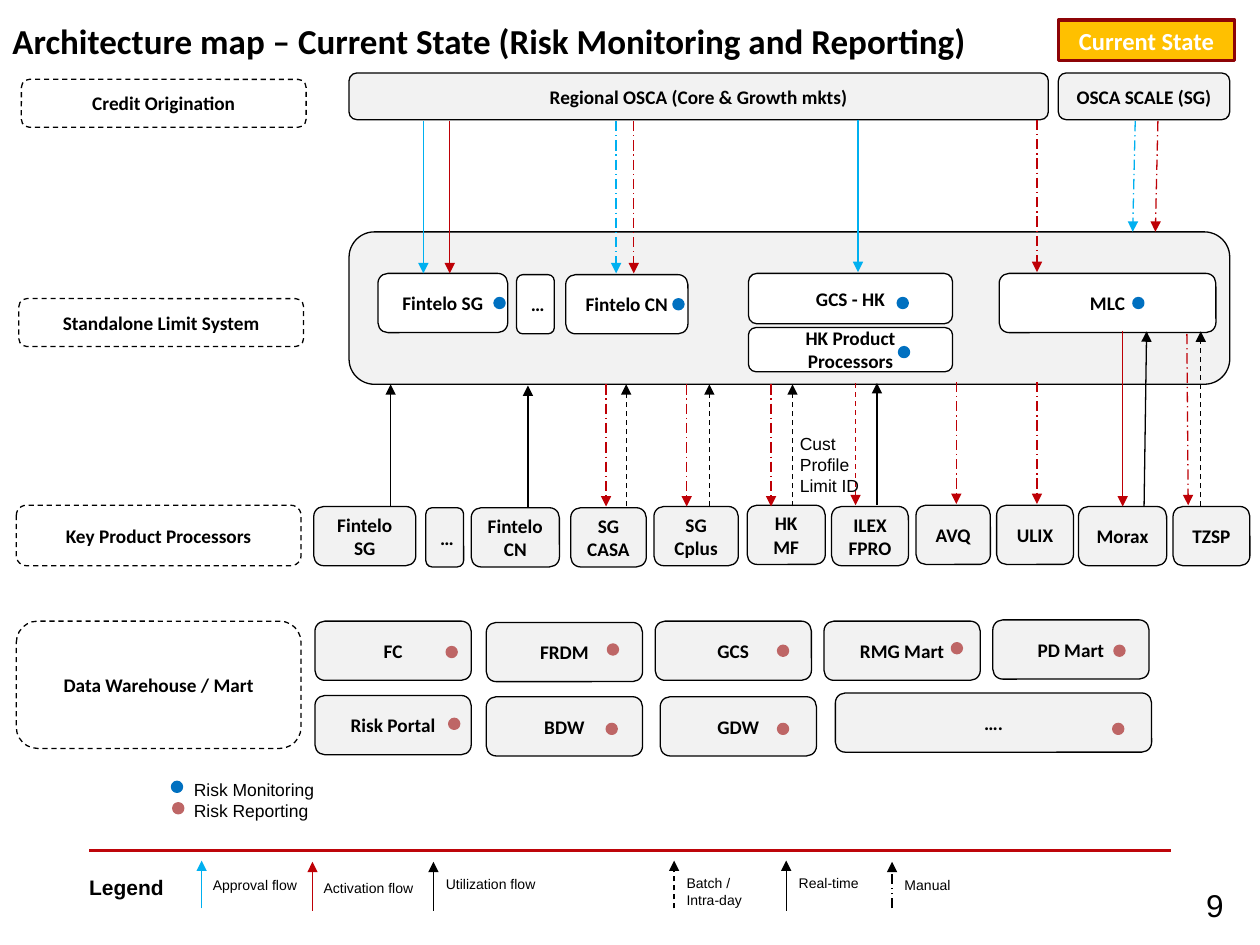
"""Build the current-state architecture map for risk monitoring and reporting."""
from lxml.etree import SubElement
from pptx import Presentation
from pptx.dml.color import RGBColor as RGB
from pptx.enum.dml import MSO_LINE as DASH
from pptx.enum.shapes import MSO_CONNECTOR as LINK, MSO_SHAPE as FORM
from pptx.enum.text import MSO_ANCHOR as ANCHOR, PP_ALIGN as ALIGN
from pptx.oxml.ns import qn
from pptx.util import Pt

PX = 9144
BLACK = RGB(0x00, 0x00, 0x00)
WHITE = RGB(0xFF, 0xFF, 0xFF)
GREY = RGB(0xF2, 0xF2, 0xF2)
RED = RGB(0xBE, 0x00, 0x06)
RULE = RGB(0xBE, 0x05, 0x0A)
CYAN = RGB(0x00, 0xB0, 0xF0)
BLUE = RGB(0x00, 0x70, 0xC0)
ROSE = RGB(0xBE, 0x66, 0x66)
GOLD = RGB(0xFF, 0xC0, 0x00)
MAROON = RGB(0x8D, 0x04, 0x07)
SOLID, BATCH, MANUAL = None, DASH.DASH, DASH.LONG_DASH_DOT

deck = Presentation()
deck.slide_width, deck.slide_height = 1000 * PX, 750 * PX
slide = deck.slides.add_slide(deck.slide_layouts[6])
shapes = slide.shapes


def write(text, place, shape=None, size=11, font="Calibri", color=BLACK,
          bold=True, align=ALIGN.CENTER, anchor=ANCHOR.MIDDLE):
    if shape is None:
        shape = shapes.add_textbox(*[n * PX for n in place])
    frame = shape.text_frame
    frame.word_wrap = True
    frame.vertical_anchor = anchor
    frame.text = text
    for para in frame.paragraphs:
        para.alignment = align
        para.font.size = Pt(size)
        para.font.name = font
        para.font.bold = bold
        para.font.color.rgb = color


def draw(form, place, fill=None, edge=BLACK, weight=0.75, dash=SOLID):
    shape = shapes.add_shape(form, *[n * PX for n in place])
    shape.shadow.inherit = False
    if fill is None:
        shape.fill.background()
    else:
        shape.fill.solid()
        shape.fill.fore_color.rgb = fill
    shape.line.color.rgb = edge
    shape.line.width = Pt(weight)
    shape.line.dash_style = dash
    return shape


write("Architecture map – Current State (Risk Monitoring and Reporting)",
      (0, 1, 1000, 63), size=20, align=ALIGN.LEFT)
place = (840, 16, 140, 32)
badge = draw(FORM.RECTANGLE, place, GOLD, MAROON, 2)
write("Current State", place, badge, size=14, color=WHITE)

layers = [
    ("Credit Origination", 17, 63, 38),
    ("Standalone Limit System", 15, 237, 38),
    ("Key Product Processors", 13, 401, 48),
    ("Data Warehouse / Mart", 13, 493, 101),
]
for text, x, y, h in layers:
    place = (x, y, 226, h)
    write(text, place, draw(FORM.ROUNDED_RECTANGLE, place, dash=BATCH))

draw(FORM.ROUNDED_RECTANGLE, (277, 184, 699, 121), GREY)

systems = [
    ("Regional OSCA (Core & Growth mkts)", 277, 58, 555, 37, GREY),
    ("OSCA SCALE (SG)", 840, 58, 136, 37, GREY),
    ("Fintelo SG", 300, 217, 103, 47, WHITE),
    ("…", 410, 218, 30, 47, WHITE),
    ("Fintelo CN", 449, 218, 97, 47, WHITE),
    ("GCS - HK", 594, 217, 162, 40, WHITE),
    ("HK Product Processors", 594, 260, 162, 35, WHITE),
    ("MLC", 793, 217, 172, 47, WHITE),
    ("Fintelo SG", 249, 402, 81, 47, GREY),
    ("…", 338, 403, 30, 47, GREY),
    ("Fintelo CN", 374, 403, 70, 47, GREY),
    ("SG CASA", 453, 403, 60, 47, GREY),
    ("SG Cplus", 519, 402, 67, 47, GREY),
    ("HK MF", 593, 401, 62, 47, GREY),
    ("ILEX\vFPRO", 660, 402, 61, 47, GREY),
    ("AVQ", 727, 401, 59, 47, GREY),
    ("ULIX", 791, 401, 61, 47, GREY),
    ("Morax", 856, 402, 70, 47, GREY),
    ("TZSP", 931, 402, 61, 47, GREY),
    ("FC", 250, 493, 124, 47, GREY),
    ("FRDM", 386, 494, 124, 47, GREY),
    ("GCS", 520, 493, 124, 47, GREY),
    ("RMG Mart", 654, 493, 124, 47, GREY),
    ("PD Mart", 788, 492, 124, 47, GREY),
    ("Risk Portal", 250, 552, 124, 47, GREY),
    ("BDW", 386, 553, 124, 47, GREY),
    ("GDW", 524, 553, 124, 47, GREY),
    ("….", 663, 550, 251, 47, GREY),
]
boxes = []
for text, *place, fill in systems:
    box = draw(FORM.ROUNDED_RECTANGLE, place, fill)
    write(text, place, box)
    boxes.append(box)

arrows = [
    (336, 96, 336, 217, CYAN, SOLID),
    (357, 96, 357, 217, RED, SOLID),
    (489, 96, 489, 217, CYAN, MANUAL),
    (503, 96, 503, 217, RED, MANUAL),
    (681, 95, 681, 216, CYAN, SOLID),
    (823, 95, 823, 216, RED, MANUAL),
    (901, 96, 899, 184, CYAN, MANUAL),
    (919, 96, 917, 184, RED, MANUAL),
    (310, 402, 310, 305, BLACK, SOLID),
    (419, 403, 419, 306, BLACK, SOLID),
    (481, 305, 481, 402, RED, MANUAL),
    (497, 402, 497, 305, BLACK, BATCH),
    (545, 305, 545, 402, RED, MANUAL),
    (563, 402, 563, 305, BLACK, BATCH),
    (612, 305, 612, 402, RED, MANUAL),
    (629, 402, 629, 305, BLACK, BATCH),
    (679, 304, 679, 401, RED, BATCH),
    (696, 401, 696, 304, BLACK, SOLID),
    (759, 303, 759, 400, RED, MANUAL),
    (823, 303, 823, 400, RED, MANUAL),
    (891, 263, 891, 402, RED, SOLID),
    (908, 402, 910, 263, BLACK, SOLID),
    (942, 265, 943, 401, RED, MANUAL),
    (953, 402, 953, 263, BLACK, BATCH),
    (160, 721, 160, 683, CYAN, SOLID),
    (248, 723, 248, 684, RED, SOLID),
    (344, 723, 344, 684, BLACK, SOLID),
    (535, 721, 535, 683, BLACK, BATCH),
    (624, 723, 624, 683, BLACK, SOLID),
    (708, 721, 708, 684, BLACK, DASH.DASH_DOT_DOT),
    (71, 675, 929, 675, RULE, SOLID),
]
for *ends, color, dash in arrows:
    ends = [n * PX for n in ends]
    link = shapes.add_connector(LINK.STRAIGHT, *ends)
    link.line.color.rgb = color
    link.line.width = Pt(1.5 if color == RULE else 0.75)
    link.line.dash_style = dash
    props = link._element.spPr
    if color != RULE:
        SubElement(props.find(qn("a:ln")), qn("a:tailEnd"), type="triangle")
    SubElement(props, qn("a:effectLst"))
    for box in boxes:
        if ends[2:] == [box.left + box.width // 2, box.top]:
            link.end_connect(box, 0)

dots = {
    BLUE: [(393, 237), (535, 238), (713, 237), (900, 237), (714, 276), (137, 621)],
    ROSE: [(355, 514), (483, 512), (618, 513), (756, 511), (885, 513),
           (357, 571), (482, 575), (618, 575), (884, 575), (138, 638)],
}
for color, spots in dots.items():
    for x, y in spots:
        draw(FORM.OVAL, (x, y, 7, 7), color, color, 2)

notes = [
    ("Cust\nProfile\nLimit ID", 625, 339, 71, 61, 10),
    ("Risk Monitoring\nRisk Reporting", 144, 613, 171, 44, 10),
    ("Legend", 61, 689, 83, 30, 12),
    ("Approval flow", 159, 691, 95, 24, 8),
    ("Activation flow", 247, 693, 95, 24, 8),
    ("Utilization flow", 344, 690, 104, 24, 8),
    ("Batch / Intra-day", 535, 689, 68, 37, 8),
    ("Real-time", 624, 689, 68, 24, 8),
    ("Manual", 708, 691, 68, 24, 8),
]
for text, *place, size in notes:
    write(text, place, size=size, font="Arial", bold=text == "Legend",
          align=ALIGN.LEFT, anchor=ANCHOR.TOP)
write("9", (864, 697, 117, 42), size=18, font="Arial", bold=False, align=ALIGN.RIGHT)

deck.save("out.pptx")
